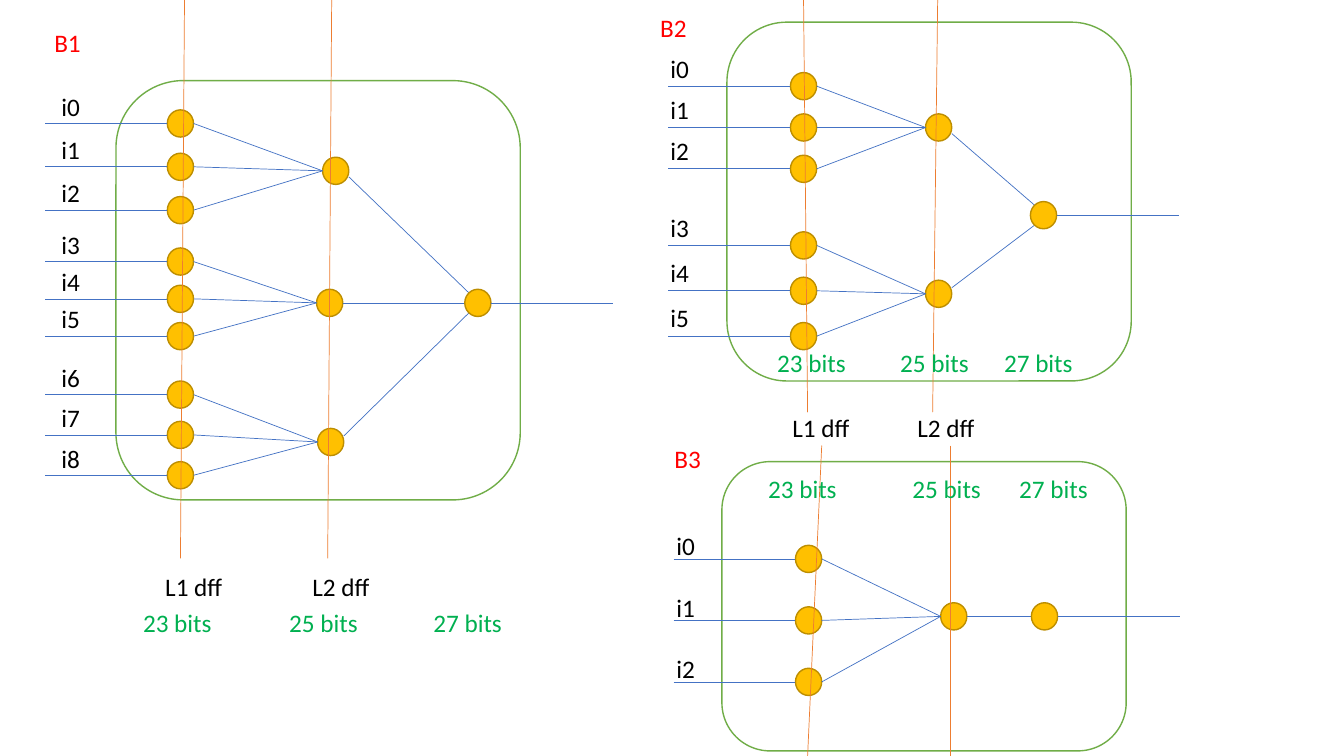
import dataclasses

import pptx
import pptx.dml.color
import pptx.enum.shapes
import pptx.enum.text
import pptx.oxml
import pptx.util
from pptx.util import Inches


@dataclasses.dataclass(frozen=True)
class Theme:
    font: str = "Calibri"
    text_size: int = 18
    outline_width: float = 1
    wire_width: float = 0.5
    background: str = "FFFFFF"
    box_line: str = "70AD47"
    node_fill: str = "FFC000"
    node_line: str = "BD8E00"
    wire: str = "4472C4"
    register: str = "ED7D31"
    label: str = "000000"
    heading: str = "FF0000"
    bits: str = "00B050"


@dataclasses.dataclass(frozen=True)
class Group:
    """Three input nodes that feed one merge node."""
    first_top: float
    pitch: float
    merge: tuple


@dataclasses.dataclass(frozen=True)
class Block:
    """One reduction tree; positions are inches from the box's corner."""
    name: str
    box: tuple  # left, top, width, height on the slide
    heading: tuple
    input_left: float
    groups: list
    output: tuple
    input_label_left: float
    input_label_rise: float
    register_span: tuple  # top, bottom
    registers: list  # x at the top, x at the bottom
    register_label_top: float | None
    bits_top: float
    bits_lefts: tuple


THEME = Theme()
NODE_WIDTH, NODE_HEIGHT = 0.26, 0.27
WIRE_LENGTH = 1.21
LABEL_HEIGHT = 0.4
INPUT_WIDTH, HEADING_WIDTH, REGISTER_WIDTH, BITS_WIDTH = 0.39, 0.47, 0.78, 0.89
REGISTER_LABEL_SHIFT = 0.25
BIT_COUNTS = (23, 25, 27)
INPUTS_PER_GROUP = 3

BLOCKS = [
    Block("B1", box=(1.15, 0.8, 4.01, 4.16), heading=(-0.71, -0.58),
          input_left=0.51,
          groups=[Group(0.29, 0.43, (2.05, 0.76)),
                  Group(1.66, 0.37, (1.99, 2.07)),
                  Group(2.98, 0.4, (2, 3.45))],
          output=(3.46, 2.07),
          input_label_left=-0.64, input_label_rise=0.37,
          register_span=(-0.8, 4.74), registers=[(0.68, 0.64), (2.14, 2.1)],
          register_label_top=4.82,
          bits_top=5.18, bits_lefts=(0.17, 1.62, 3.05)),
    Block("B2", box=(7.21, 0.22, 4.01, 3.56), heading=(-0.76, -0.15),
          input_left=0.63,
          groups=[Group(0.5, 0.41, (1.97, 0.91)),
                  Group(2.08, 0.45, (1.97, 2.56))],
          output=(3.01, 1.78),
          input_label_left=-0.66, input_label_rise=0.38,
          register_span=(-0.22, 3.87), registers=[(0.76, 0.8), (2.09, 2.04)],
          register_label_top=3.82,
          bits_top=3.18, bits_lefts=(0.4, 1.62, 2.65)),
    Block("B3", box=(7.16, 4.58, 4.01, 2.87), heading=(-0.57, -0.23),
          input_left=0.73,
          groups=[Group(0.83, 0.61, (2.17, 1.4))],
          output=(3.07, 1.4),
          input_label_left=-0.55, input_label_rise=0.33,
          register_span=(-0.16, 2.92), registers=[(0.99, 0.85), (2.27, 2.27)],
          register_label_top=None,
          bits_top=0.07, bits_lefts=(0.36, 1.79, 2.85)),
]


def rgb(value):
    return pptx.dml.color.RGBColor.from_string(value)


def add_outlined(slide, preset, left, top, width, height, fill, line):
    shape = slide.shapes.add_shape(
        preset, Inches(left), Inches(top), Inches(width), Inches(height))
    shape.shadow.inherit = False
    shape.fill.solid()
    shape.fill.fore_color.rgb = rgb(fill)
    shape.line.color.rgb = rgb(line)
    shape.line.width = pptx.util.Pt(THEME.outline_width)


def add_line(slide, start_x, start_y, end_x, end_y, color):
    connector = slide.shapes.add_connector(
        pptx.enum.shapes.MSO_CONNECTOR.STRAIGHT,
        Inches(start_x), Inches(start_y), Inches(end_x), Inches(end_y))
    connector.line.color.rgb = rgb(color)
    connector.line.width = pptx.util.Pt(THEME.wire_width)
    properties = connector.element.spPr
    properties.append(properties.makeelement(pptx.oxml.ns.qn("a:effectLst"), {}))


def add_label(slide, text, left, top, width, color):
    text_box = slide.shapes.add_textbox(
        Inches(left), Inches(top), Inches(width), Inches(LABEL_HEIGHT))
    frame = text_box.text_frame
    frame.word_wrap = False
    frame.auto_size = pptx.enum.text.MSO_AUTO_SIZE.SHAPE_TO_FIT_TEXT
    paragraph = frame.paragraphs[0]
    paragraph.text = text
    paragraph.font.name = THEME.font
    paragraph.font.size = pptx.util.Pt(THEME.text_size)
    paragraph.font.color.rgb = rgb(color)


def draw_block(slide, block):
    left, top, width, height = block.box
    presets = pptx.enum.shapes.MSO_SHAPE

    def node(x, y):
        add_outlined(slide, presets.OVAL, left + x, top + y, NODE_WIDTH, NODE_HEIGHT,
                     THEME.node_fill, THEME.node_line)

    def line(start_x, start_y, end_x, end_y, color=THEME.wire):
        add_line(slide, left + start_x, top + start_y, left + end_x, top + end_y, color)

    def label(text, x, y, label_width, color):
        add_label(slide, text, left + x, top + y, label_width, color)

    def middle(y):
        return y + NODE_HEIGHT / 2

    # Box
    add_outlined(slide, presets.ROUNDED_RECTANGLE, left, top, width, height,
                 THEME.background, THEME.box_line)

    # Inputs, merge nodes and the wires between them
    output_x, output_y = block.output
    input_right = block.input_left + NODE_WIDTH
    input_index = 0
    for group in block.groups:
        merge_x, merge_y = group.merge
        node(merge_x, merge_y)
        for position in range(INPUTS_PER_GROUP):
            y = group.first_top + position * group.pitch
            node(block.input_left, y)
            line(input_right, middle(y), merge_x, middle(merge_y))
            line(block.input_left - WIRE_LENGTH, middle(y), block.input_left, middle(y))
            label(f"i{input_index}", block.input_label_left,
                  middle(y) - block.input_label_rise, INPUT_WIDTH, THEME.label)
            input_index += 1
        # Slanted wires leave and meet the nodes off their middles
        slope = (output_y > merge_y) - (output_y < merge_y)
        line(merge_x + NODE_WIDTH, middle(merge_y) + 0.06 * slope,
             output_x + 0.04 * abs(slope), middle(output_y) - 0.1 * slope)

    # Output
    node(output_x, output_y)
    output_right = output_x + NODE_WIDTH
    line(output_right, middle(output_y), output_right + WIRE_LENGTH, middle(output_y))

    # Registers
    span_top, span_bottom = block.register_span
    for number, (top_x, bottom_x) in enumerate(block.registers, start=1):
        line(top_x, span_top, bottom_x, span_bottom, THEME.register)
        if block.register_label_top is not None:
            label(f"L{number} dff", bottom_x - REGISTER_LABEL_SHIFT,
                  block.register_label_top, REGISTER_WIDTH, THEME.label)

    # Heading and bit widths
    label(block.name, *block.heading, HEADING_WIDTH, THEME.heading)
    for count, x in zip(BIT_COUNTS, block.bits_lefts):
        label(f"{count} bits", x, block.bits_top, BITS_WIDTH, THEME.bits)


def main():
    presentation = pptx.Presentation()
    presentation.slide_width = Inches(13.33)
    presentation.slide_height = Inches(7.5)
    slide = presentation.slides.add_slide(presentation.slide_layouts[6])
    for block in BLOCKS:
        draw_block(slide, block)
    presentation.save("out.pptx")


if __name__ == "__main__":
    main()
